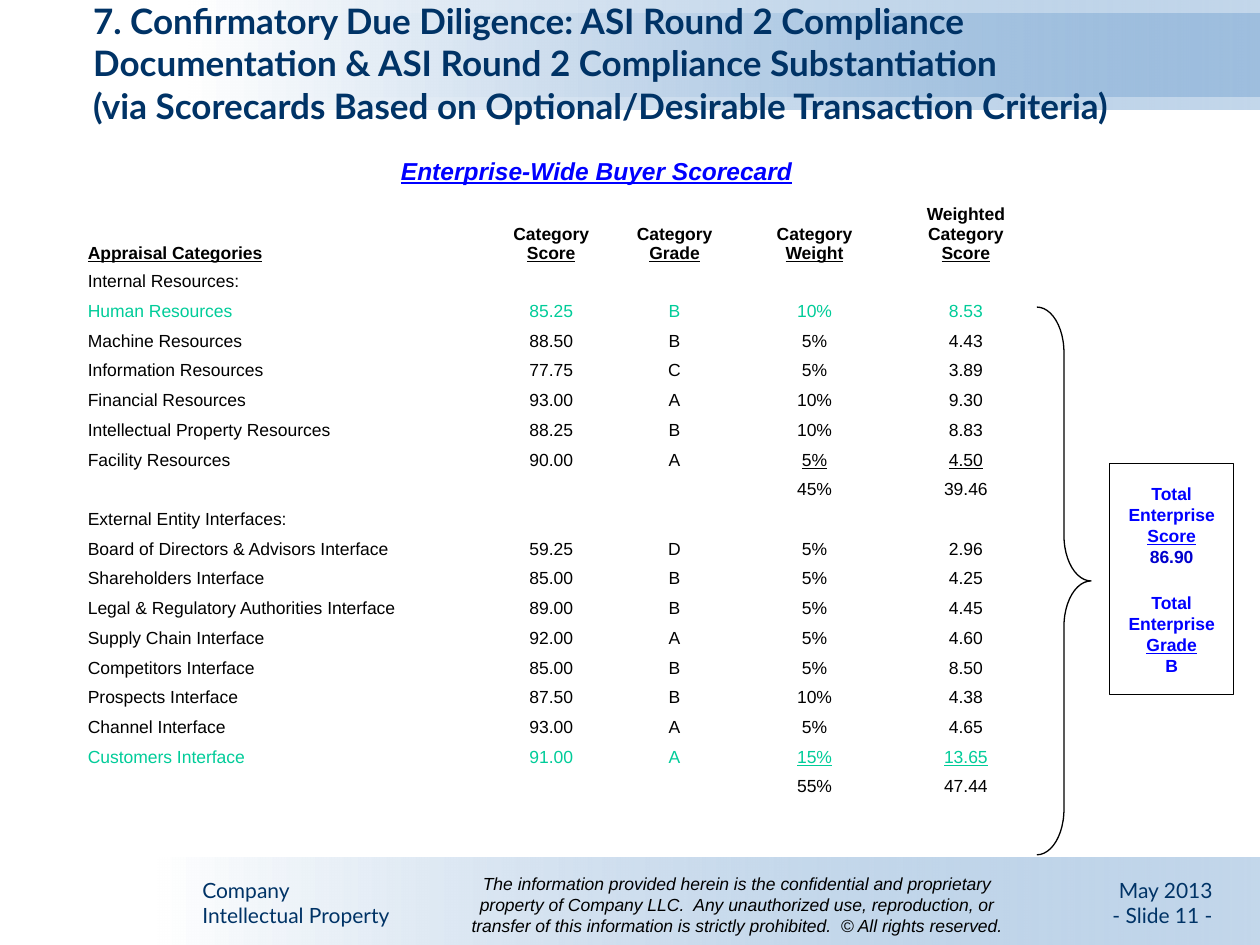
from lxml.etree import SubElement
from pptx import Presentation
from pptx.dml.color import RGBColor
from pptx.enum.shapes import MSO_SHAPE as Preset
from pptx.enum.text import MSO_ANCHOR as Anchor, PP_ALIGN as Align
from pptx.oxml.ns import qn
from pptx.util import Pt

WHITE = RGBColor(0xFF, 0xFF, 0xFF)
BLACK = RGBColor(0, 0, 0)
NAVY = RGBColor(0x00, 0x33, 0x66)
BAND_BLUE = RGBColor(0x66, 0x99, 0xCC)
GREEN = RGBColor(0x00, 0xCC, 0x99)
BLUE = RGBColor(0x00, 0x00, 0xFF)
SCORE_BLUE = RGBColor(0x00, 0x00, 0xCC)

TITLE = ("7. Confirmatory Due Diligence: ASI Round 2 Compliance Documentation "
         "& ASI Round 2 Compliance Substantiation\v"
         "(via Scorecards Based on Optional/Desirable Transaction Criteria)")
HEADERS = ["Appraisal Categories", "Category\nScore", "Category\nGrade",
           "Category\nWeight", "Weighted\nCategory\nScore"]
SCORES = [
    ("Internal Resources:", "", "", "", ""),
    ("Human Resources", "85.25", "B", "10%", "8.53"),
    ("Machine Resources", "88.50", "B", "5%", "4.43"),
    ("Information Resources", "77.75", "C", "5%", "3.89"),
    ("Financial Resources", "93.00", "A", "10%", "9.30"),
    ("Intellectual Property Resources", "88.25", "B", "10%", "8.83"),
    ("Facility Resources", "90.00", "A", "5%", "4.50"),
    ("", "", "", "45%", "39.46"),
    ("External Entity Interfaces:", "", "", "", ""),
    ("Board of Directors & Advisors Interface", "59.25", "D", "5%", "2.96"),
    ("Shareholders Interface", "85.00", "B", "5%", "4.25"),
    ("Legal & Regulatory Authorities Interface", "89.00", "B", "5%", "4.45"),
    ("Supply Chain Interface", "92.00", "A", "5%", "4.60"),
    ("Competitors Interface", "85.00", "B", "5%", "8.50"),
    ("Prospects Interface", "87.50", "B", "10%", "4.38"),
    ("Channel Interface", "93.00", "A", "5%", "4.65"),
    ("Customers Interface", "91.00", "A", "15%", "13.65"),
    ("", "", "", "55%", "47.44"),
]
HIGHLIGHTED = {"Human Resources", "Customers Interface"}
COLUMN_WIDTHS = [237, 70, 71, 89, 84]
HEADER_HEIGHT, ROW_HEIGHT = 42.5, 17
TOTALS = ["Total", "Enterprise", "Score", "86.90", "Total", "Enterprise", "Grade", "B"]
DISCLAIMER = [
    "The information provided herein is the confidential and proprietary",
    "property of Company LLC.  Any unauthorized use, reproduction, or",
    "transfer of this information is strictly prohibited.  © All rights reserved.",
]


def write_lines(frame, lines, size=10, name="Arial", color=BLACK, align=Align.CENTER,
                bold=False, italic=False):
    """Fill a text frame with one formatted paragraph per line."""
    frame.text = "\n".join(lines)
    for paragraph in frame.paragraphs:
        paragraph.alignment = align
        font = paragraph.font
        font.size, font.name, font.color.rgb = Pt(size), name, color
        font.bold, font.italic = bold, italic
    return frame.paragraphs


def add_text(slide, left, top, width, height, lines, **style):
    """Add a wrapping text box and return its paragraphs."""
    box = slide.shapes.add_textbox(Pt(left), Pt(top), Pt(width), Pt(height))
    box.text_frame.word_wrap = True
    return write_lines(box.text_frame, lines, **style)


def add_outline(slide, preset, left, top, width, height):
    """Add an unfilled preset shape with a thin black line."""
    shape = slide.shapes.add_shape(preset, Pt(left), Pt(top), Pt(width), Pt(height))
    shape.shadow.inherit = False
    shape.fill.background()
    shape.line.color.rgb = BLACK
    shape.line.width = Pt(0.75)
    return shape


def add_band(slide, left, top, width, height):
    """Add a band that fades from white to translucent blue."""
    band = slide.shapes.add_shape(Preset.RECTANGLE, Pt(left), Pt(top), Pt(width), Pt(height))
    band.shadow.inherit = False
    band.line.fill.background()
    band.fill.gradient()
    band.fill.gradient_angle = 0
    for stop, position, color in zip(band.fill.gradient_stops, (0, 1), (WHITE, BAND_BLUE)):
        stop.position, stop.color.rgb = position, color
    blue_stop = band._element.xpath(".//a:gs/a:srgbClr")[-1]
    SubElement(blue_stop, qn("a:alpha")).set("val", "39000")


def set_title(slide):
    """Place the title in front of the bands."""
    title = slide.shapes.title
    title.left, title.top, title.width, title.height = Pt(46), Pt(15), Pt(656), Pt(42)
    frame = title.text_frame
    frame.word_wrap, frame.vertical_anchor = True, Anchor.MIDDLE
    write_lines(frame, [TITLE], size=20, name="Lato", color=NAVY, align=Align.LEFT, bold=True)
    title._element.getparent().append(title._element)


def fill_cell(cell, text, column, **style):
    """Write one scorecard cell without fill."""
    cell.fill.background()
    cell.vertical_anchor = Anchor.MIDDLE
    cell.margin_top = cell.margin_bottom = 0
    align = Align.CENTER if column else Align.LEFT
    paragraphs = write_lines(cell.text_frame, text.split("\n"), align=align, **style)
    for paragraph in paragraphs:
        paragraph._p.get_or_add_endParaRPr().set("sz", "1000")
    return paragraphs


def add_scorecard(slide):
    """Add the table of appraisal categories."""
    height = HEADER_HEIGHT + ROW_HEIGHT * len(SCORES)
    table = slide.shapes.add_table(len(SCORES) + 1, len(HEADERS), Pt(43), Pt(110),
                                   Pt(sum(COLUMN_WIDTHS)), Pt(height)).table
    table.first_row = table.horz_banding = False
    for column, width in zip(table.columns, COLUMN_WIDTHS):
        column.width = Pt(width)
    for row in table.rows:
        row.height = Pt(ROW_HEIGHT)
    table.rows[0].height = Pt(HEADER_HEIGHT)
    for column, header in enumerate(HEADERS):
        cell = table.cell(0, column)
        fill_cell(cell, header, column, bold=True)[-1].font.underline = True
        cell.vertical_anchor = Anchor.BOTTOM
        cell.margin_bottom = Pt(2)
    for row, values in enumerate(SCORES, 1):
        color = GREEN if values[0] in HIGHLIGHTED else BLACK
        before_subtotal = row < len(SCORES) and not SCORES[row][0]
        for column, value in enumerate(values):
            paragraph = fill_cell(table.cell(row, column), value, column, color=color)[0]
            paragraph.font.underline = before_subtotal and column >= 3


def add_totals(slide):
    """Add the brace and the box with the total score and grade."""
    brace = add_outline(slide, Preset.RIGHT_BRACE, 592.5, 175.5, 31, 313)
    brace.adjustments[0], brace.adjustments[1] = 0.84, 0.5
    frame = add_outline(slide, Preset.RECTANGLE, 634, 265, 71, 132).text_frame
    frame.margin_left = frame.margin_right = 0
    frame.vertical_anchor = Anchor.MIDDLE
    paragraphs = write_lines(frame, TOTALS, color=BLUE, bold=True)
    for paragraph in paragraphs:
        paragraph.font.underline = paragraph.text in ("Score", "Grade")
    paragraphs[3].font.color.rgb = SCORE_BLUE
    paragraphs[4].space_before = Pt(14)


def add_footer(slide):
    """Add the owner, disclaimer and date texts."""
    owner = {"size": 12, "name": "Lato", "color": NAVY}
    add_text(slide, 108.5, 498, 140, 36, ["Company", "Intellectual Property"],
             align=Align.LEFT, **owner)
    add_text(slide, 255, 495.5, 332, 44, DISCLAIMER, italic=True)
    add_text(slide, 508, 498, 192, 36, ["May 2013", "- Slide 11 -"],
             align=Align.RIGHT, **owner)


def main():
    """Build and save the scorecard slide."""
    presentation = Presentation()
    presentation.slide_width, presentation.slide_height = Pt(720), Pt(540)
    slide = presentation.slides.add_slide(presentation.slide_layouts[5])
    add_band(slide, 90, 490, 630, 50)
    add_band(slide, 108, 0, 612, 62.5)
    add_band(slide, 108, 8, 612, 47)
    set_title(slide)
    add_scorecard(slide)
    add_totals(slide)
    heading = add_text(slide, 221, 85.5, 240, 24.5, ["Enterprise-Wide Buyer Scorecard"],
                       size=14, color=BLUE, bold=True, italic=True)
    heading[0].font.underline = True
    add_footer(slide)
    presentation.save("out.pptx")


main()
